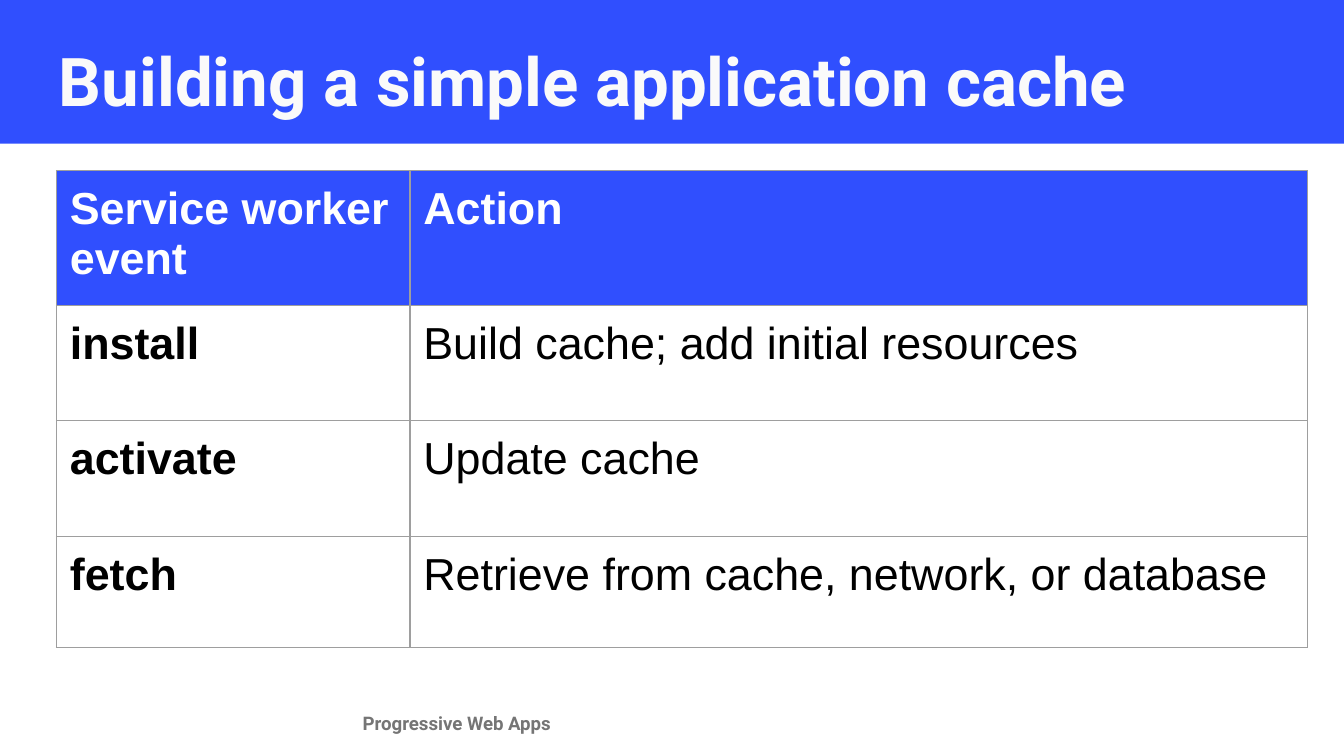
from lxml import etree
from pptx import Presentation
from pptx.dml.color import RGBColor
from pptx.enum.shapes import MSO_SHAPE
from pptx.enum.text import MSO_ANCHOR
from pptx.oxml.ns import qn
from pptx.util import Inches, Pt

RECTANGLE = MSO_SHAPE.RECTANGLE
TOP = MSO_ANCHOR.TOP

BLUE = "304FFE"
WHITE = "FFFFFF"
BLACK = "000000"
BORDER = "9E9E9E"

TITLE_FORMAT = {"name": "Roboto", "size": Pt(36), "bold": True}
FOOTER_FORMAT = {"name": "Roboto", "size": Pt(10), "bold": True}
CELL_FORMAT = {"name": "Arial", "size": Pt(24)}
INSETS = {side: Inches(0.1) for side in
          ("margin_left", "margin_top", "margin_right", "margin_bottom")}

COLUMN_WIDTHS = (2.63, 6.68)
ROW_HEIGHTS = (1, 0.86, 0.86, 0.83)
EVENTS = (
    ("Service worker event", "Action"),
    ("install", "Build cache; add initial resources"),
    ("activate", "Update cache"),
    ("fetch", "Retrieve from cache, network, or database"),
)


def rgb(color):
    return RGBColor.from_string(color)


def set_attributes(target, values):
    for name, value in values.items():
        setattr(target, name, value)


def write(paragraph, text, font_format, color):
    run = paragraph.add_run()
    run.text = text
    set_attributes(run.font, font_format)
    run.font.color.rgb = rgb(color)


def add_band(slide, left, top, width, height, color):
    band = slide.shapes.add_shape(
        RECTANGLE, Inches(left), Inches(top), Inches(width), Inches(height))
    band.shadow.inherit = False
    band.fill.solid()
    band.fill.fore_color.rgb = rgb(color)
    band.line.fill.background()


def add_text(slide, left, top, width, height, text, font_format, color):
    box = slide.shapes.add_textbox(
        Inches(left), Inches(top), Inches(width), Inches(height))
    frame = box.text_frame
    set_attributes(frame, INSETS | {"word_wrap": True, "vertical_anchor": TOP})
    write(frame.paragraphs[0], text, font_format, color)


def add_borders(cell, color, width):
    properties = cell._tc.get_or_add_tcPr()
    # Borders must come before the cell fill
    for position, side in enumerate(("a:lnL", "a:lnR", "a:lnT", "a:lnB")):
        line = etree.Element(qn(side), w=str(width))
        fill = etree.SubElement(line, qn("a:solidFill"))
        etree.SubElement(fill, qn("a:srgbClr"), val=color)
        properties.insert(position, line)


def fill_cell(cell, text, is_header, is_bold):
    set_attributes(cell, INSETS | {"vertical_anchor": TOP})
    if is_header:
        cell.fill.solid()
        cell.fill.fore_color.rgb = rgb(BLUE)
    else:
        cell.fill.background()
    write(cell.text_frame.paragraphs[0], text,
          CELL_FORMAT | {"bold": is_bold}, WHITE if is_header else BLACK)
    add_borders(cell, BORDER, Pt(0.75))


def add_event_table(slide, left, top):
    table = slide.shapes.add_table(
        len(EVENTS), len(COLUMN_WIDTHS), Inches(left), Inches(top),
        Inches(sum(COLUMN_WIDTHS)), Inches(sum(ROW_HEIGHTS))).table
    for column, width in zip(table.columns, COLUMN_WIDTHS):
        column.width = Inches(width)
    for row, height in zip(table.rows, ROW_HEIGHTS):
        row.height = Inches(height)
    for r, texts in enumerate(EVENTS):
        for c, text in enumerate(texts):
            fill_cell(table.cell(r, c), text, r == 0, r == 0 or c == 0)


def main():
    deck = Presentation()
    # Widescreen, 16:9
    deck.slide_width, deck.slide_height = Inches(10), Inches(10 * 9 / 16)
    slide = deck.slides.add_slide(deck.slide_layouts[6])

    # Footer
    add_text(slide, 2.6, 5.21, 5.79, 0.25, "Progressive Web Apps",
             FOOTER_FORMAT, "757575")

    # Title band
    add_band(slide, -0.01, -0.04, 10.01, 1.11, BLUE)
    add_text(slide, 0.34, 0.19, 9.32, 0.63,
             "Building a simple application cache", TITLE_FORMAT, "FAFAFA")

    # Service worker events
    add_event_table(slide, 0.42, 1.27)

    deck.save("out.pptx")


if __name__ == "__main__":
    main()
